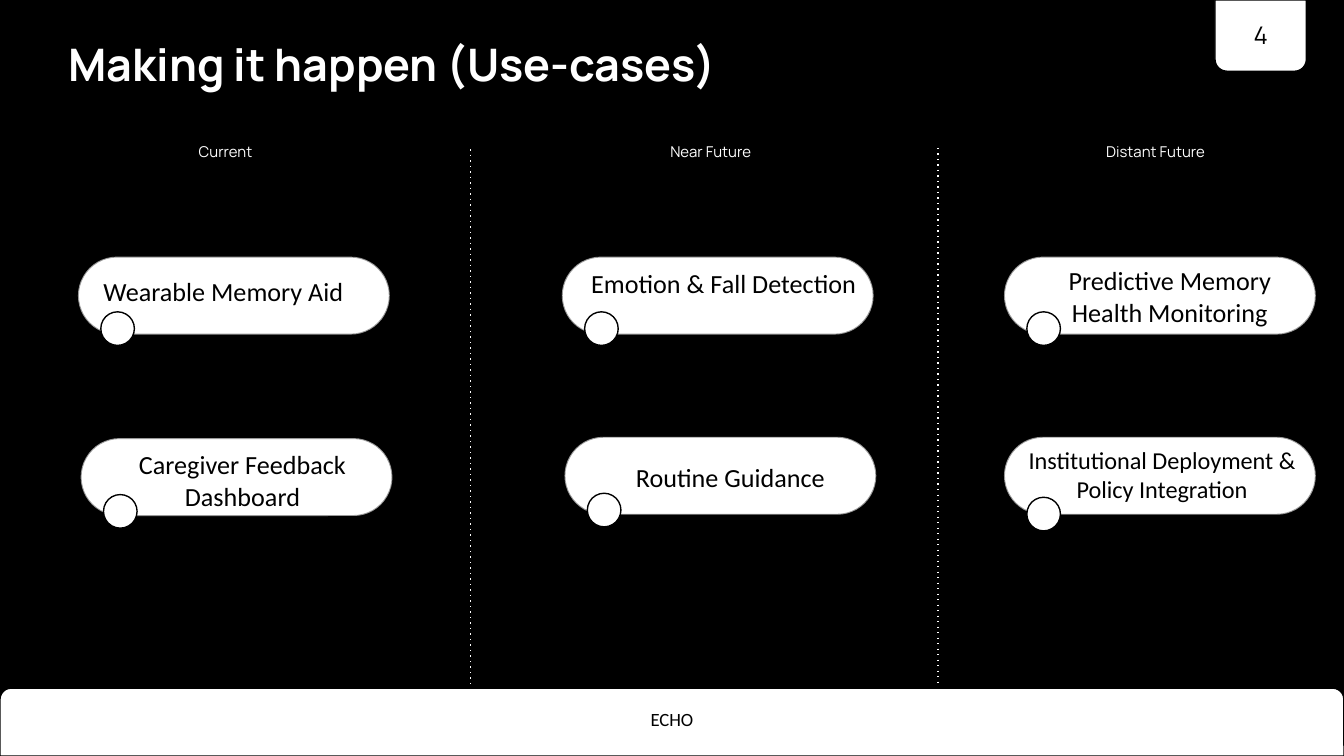
from lxml.etree import SubElement
from pptx import Presentation
from pptx.dml.color import RGBColor as Color
from pptx.enum.shapes import MSO_CONNECTOR as Connector, MSO_SHAPE as Shape
from pptx.enum.text import MSO_ANCHOR as Anchor, PP_ALIGN as Align
from pptx.oxml.ns import qn
from pptx.util import Inches, Pt

THEME = {
    "black": Color(0, 0, 0),
    "white": Color(255, 255, 255),
    "outline": Pt(0.75),
    "pill_outline": Pt(1),
    "pill_opacity": "40000",
    "title": {"name": "Manrope", "size": Pt(24), "bold": True},
    "period": {"name": "Manrope", "size": Pt(8)},
    "number": {"name": "Manrope", "size": Pt(13)},
    "case": {"name": "Calibri", "size": Pt(14)},
    "long_case": {"name": "Calibri", "size": Pt(13)},
    "footer": {"name": "Calibri", "size": Pt(10)},
}

deck = Presentation()
deck.slide_width, deck.slide_height = Inches(10), Inches(5.625)
slide = deck.slides.add_slide(deck.slide_layouts[6])
slide.background.fill.solid()
slide.background.fill.fore_color.rgb = THEME["black"]
CELL = deck.slide_width / 100


def add_panel(kind, cells, corners, outline=THEME["outline"]):
    panel = slide.shapes.add_shape(kind, *[round(c * CELL) for c in cells])
    panel.shadow.inherit = False
    panel.fill.solid()
    panel.fill.fore_color.rgb = THEME["white"]
    panel.line.color.rgb = THEME["black"]
    panel.line.width = outline
    for index, corner in enumerate(corners):
        panel.adjustments[index] = corner
    return panel


def add_label(words, cells, style, color="black", align=Align.CENTER, inset=0):
    frame = slide.shapes.add_textbox(*[round(c * CELL) for c in cells]).text_frame
    layout = {"word_wrap": True, "vertical_anchor": Anchor.TOP}
    layout.update({f"margin_{side}": Inches(inset) for side in ("left", "top", "right", "bottom")})
    for name, value in layout.items():
        setattr(frame, name, value)
    paragraph = frame.paragraphs[0]
    paragraph.alignment = align
    run = paragraph.add_run()
    run.text = words
    for name, value in THEME[style].items():
        setattr(run.font, name, value)
    run.font.color.rgb = THEME[color]


add_panel(Shape.ROUND_2_SAME_RECTANGLE, (0, 51.2, 100, 5.05), (0.167, 0))
add_label("ECHO", (43, 52.7, 14, 2), "footer")

number_tab = add_panel(Shape.ROUND_2_SAME_RECTANGLE, (90.4, 0, 6.8, 5.3), (0.167, 0))
number_tab.rotation = 180
add_label("4", (90.7, 0.5, 6.2, 4.2), "number", inset=0.1)

add_label("Making it happen (Use-cases)", (5.1, 2.7, 73.6, 5.9), "title", "white", Align.LEFT)

for period, left, width in (
    ("Current ", 14.1, 5.6),
    ("Near Future ", 47.8, 10.4),
    ("Distant Future ", 80.9, 10.4),
):
    add_label(period, (left, 10.6, width, 2), "period", "white")

use_cases = (
    ("Wearable Memory Aid", 5.8, 19.1, 4.1, 1.9, 1.4, "case", Align.LEFT),
    ("Caregiver Feedback Dashboard", 6, 32.6, 4.2, 1.9, 0.8, "case", Align.CENTER),
    ("Emotion & Fall Detection", 41.8, 19.1, 4.1, 1.9, 0.8, "case", Align.CENTER),
    ("Routine Guidance", 42, 32.5, 4.2, 2.2, 1.8, "case", Align.CENTER),
    ("Predictive Memory Health Monitoring", 74.7, 19.1, 4.1, 2.2, 0.6, "case", Align.CENTER),
    ("Institutional Deployment & Policy Integration", 74.7, 32.5, 4.5, 1.6, 0.6, "long_case", Align.CENTER),
)
for use_case, left, top, dot_drop, indent, drop, style, align in use_cases:
    pill = add_panel(Shape.ROUNDED_RECTANGLE, (left, top, 23.2, 5.8), (0.5,), THEME["pill_outline"])
    for tint in pill.line.fill.fore_color and pill._element.spPr.find(qn("a:ln")).iter(qn("a:srgbClr")):
        SubElement(tint, qn("a:alpha"), val=THEME["pill_opacity"])
    add_panel(Shape.ROUNDED_RECTANGLE, (left + 1.7, top + dot_drop, 2.5, 2.5), (0.5,))
    add_label(use_case, (left + indent, top + drop, 20.3, 3), style, align=align)

for column, top in ((35, 11.1), (69.8, 11)):
    ends = [round(c * CELL) for c in (column, top, column, top + 40.1)]
    divider = slide.shapes.add_connector(Connector.STRAIGHT, *ends)
    divider.line.color.rgb = THEME["white"]
    divider.line.width = THEME["outline"]
    properties = divider._element.spPr
    SubElement(properties.find(qn("a:ln")), qn("a:prstDash"), val="dot")
    SubElement(properties, qn("a:effectLst"))

deck.save("out.pptx")
